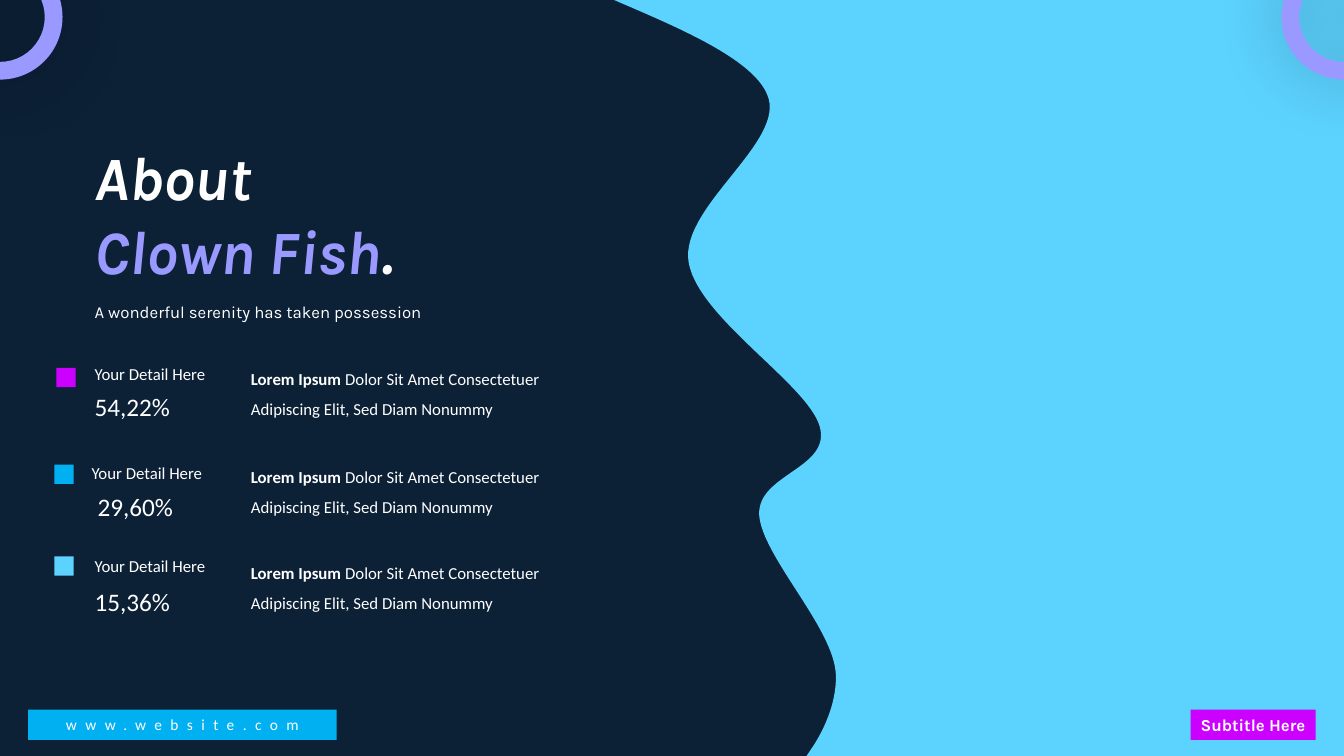
"""Builds the "About Clown Fish" slide with a wavy panel and three percentage details."""
import dataclasses

import lxml.etree
import pptx
import pptx.dml.color
import pptx.enum.shapes
import pptx.enum.text
import pptx.oxml.ns
import pptx.util

PX = 9144
SHAPE = pptx.enum.shapes.MSO_SHAPE
ALIGN = pptx.enum.text.PP_ALIGN
ANCHOR = pptx.enum.text.MSO_ANCHOR
FIT = pptx.enum.text.MSO_AUTO_SIZE


@dataclasses.dataclass(frozen=True)
class Theme:
    navy: str = "0C2036"
    sky: str = "5CD3FF"
    blue: str = "00B0F0"
    magenta: str = "CC00FF"
    lilac: str = "9999FF"
    white: str = "FFFFFF"
    shadow: str = "000000"
    heading_font: str = "Karla"
    detail_font: str = "Calibri"
    title_size: int = 44
    figure_size: int = 18
    text_size: int = 12
    website_size: int = 11


theme = Theme()
rgb = pptx.dml.color.RGBColor.from_string
qn = pptx.oxml.ns.qn


def place(box, kind=None, color=None):
    """Add a filled shape, or a wrapping text box when no kind is given."""
    bounds = [value * PX for value in box]
    if kind is None:
        item = slide.shapes.add_textbox(*bounds)
        item.text_frame.word_wrap = True
        item.text_frame.auto_size = FIT.SHAPE_TO_FIT_TEXT
        return item
    item = slide.shapes.add_shape(kind, *bounds)
    item.shadow.inherit = False
    item.fill.solid()
    item.fill.fore_color.rgb = rgb(color)
    item.line.fill.background()
    return item


def write(item, text, size, font, bold_lead="", line_spacing=1.0, align=ALIGN.LEFT):
    """Set white text in an item, with an optional bold opening."""
    paragraph = item.text_frame.paragraphs[0]
    paragraph.text = bold_lead or text
    if bold_lead and text:
        paragraph.add_run().text = text
    paragraph.alignment = align
    paragraph.line_spacing = line_spacing
    for run in paragraph.runs:
        run.font.name = font
        run.font.size = pptx.util.Pt(size)
        run.font.bold = run.text == bold_lead
        run.font.color.rgb = rgb(theme.white)
    return paragraph


deck = pptx.Presentation()
deck.slide_width = 1333 * PX
deck.slide_height = 750 * PX
slide = deck.slides.add_slide(deck.slide_layouts.get_by_name("Title Only"))
slide.background.fill.solid()
slide.background.fill.fore_color.rgb = rgb(theme.navy)

sea_left = 609
sea_edges = [(1333, 0), (1333, 750), (800, 750), (808, 738)]
wave_curves = [
    ((821, 717), (830, 692), (829, 669)),
    ((827, 623), (756, 552), (753, 511)),
    ((751, 470), (825, 465), (813, 423)),
    ((801, 381), (692, 315), (683, 260)),
    ((674, 205), (781, 140), (761, 94)),
    ((747, 59), (674, 28), (616, 3)),
]
outline = slide.shapes.build_freeform(sea_left, 0, scale=PX)
outline.add_line_segments(sea_edges + [curve[-1] for curve in wave_curves], close=True)
sea = outline.convert_to_shape()
segments = list(sea._element.iter(qn("a:lnTo")))[len(sea_edges):]
unit = int(next(sea._element.iter(qn("a:path"))).get("h")) // 750
for segment, (first, second, end) in zip(segments, wave_curves):
    segment.tag = qn("a:cubicBezTo")
    for index, (x, y) in enumerate((first, second)):
        handle = lxml.etree.SubElement(segment, qn("a:pt"),
                                       x=str((x - sea_left) * unit), y=str(y * unit))
        segment.insert(index, handle)
sea.shadow.inherit = False
sea.fill.solid()
sea.fill.fore_color.rgb = rgb(theme.sky)
sea.line.fill.background()

title = slide.shapes.title
title.left, title.top, title.width, title.height = (
    value * PX for value in (84, 133, 522, 158))
title.text_frame.text = "About\nClown Fish"
title.text_frame.word_wrap = True
title.text_frame.auto_size = FIT.SHAPE_TO_FIT_TEXT
title.text_frame.vertical_anchor = ANCHOR.TOP
title.text_frame.paragraphs[1].add_run().text = "."
for paragraph in title.text_frame.paragraphs:
    paragraph.alignment = ALIGN.LEFT
    for run in paragraph.runs:
        run.font.name = theme.heading_font
        run.font.size = pptx.util.Pt(theme.title_size)
        run.font.bold = run.font.italic = True
        run.font.color.rgb = rgb(theme.lilac if run.text == "Clown Fish" else theme.white)

write(place((84, 284, 442, 37)), "A wonderful serenity has taken possession",
      theme.text_size, theme.heading_font, line_spacing=1.5)

details = [
    ("54,22%", theme.magenta, (56, 365), (84, 356), (84, 383), 351),
    ("29,60%", theme.blue, (54, 461), (81, 454), (87, 483), 448),
    ("15,36%", theme.sky, (54, 552), (84, 546), (84, 577), 543),
]
for figure, color, marker_at, label_at, figure_at, description_top in details:
    place((*marker_at, 19, 19), SHAPE.RECTANGLE, color)
    write(place((*label_at, 188, 30)), "Your Detail Here", theme.text_size, theme.detail_font)
    write(place((*figure_at, 155, 40)), figure, theme.figure_size, theme.detail_font)
    write(place((239, description_top, 309, 68)),
          "Dolor Sit Amet Consectetuer Adipiscing Elit, Sed Diam Nonummy",
          theme.text_size, theme.detail_font, bold_lead="Lorem Ipsum ", line_spacing=1.5)

subtitle = place((1181, 704, 124, 30), SHAPE.RECTANGLE, theme.magenta)
subtitle.text_frame.word_wrap = False
subtitle.text_frame.auto_size = FIT.SHAPE_TO_FIT_TEXT
subtitle.text_frame.vertical_anchor = ANCHOR.TOP
write(subtitle, "", theme.text_size, theme.heading_font, bold_lead="Subtitle Here")

website = place((28, 704, 306, 30), SHAPE.ROUNDED_RECTANGLE, theme.blue)
website.adjustments[0] = 0
website.text_frame.vertical_anchor = ANCHOR.MIDDLE
address = write(website, "www.website.com", theme.website_size, theme.detail_font,
                align=ALIGN.CENTER)
address.runs[0].font._element.set("spc", "600")

for ring_left in (-62, 1271):
    ring = place((ring_left, -45, 124, 124), SHAPE.DONUT, theme.lilac)
    ring.adjustments[0] = 0.142
    effects = ring._element.spPr.find(qn("a:effectLst"))
    glow = lxml.etree.SubElement(effects, qn("a:outerShdw"), blurRad=str(pptx.util.Pt(49)),
                                 dist="0", dir="0", algn="ctr", rotWithShape="0")
    tint = lxml.etree.SubElement(glow, qn("a:srgbClr"), val=theme.shadow)
    lxml.etree.SubElement(tint, qn("a:alpha"), val="33000")

deck.save("out.pptx")
